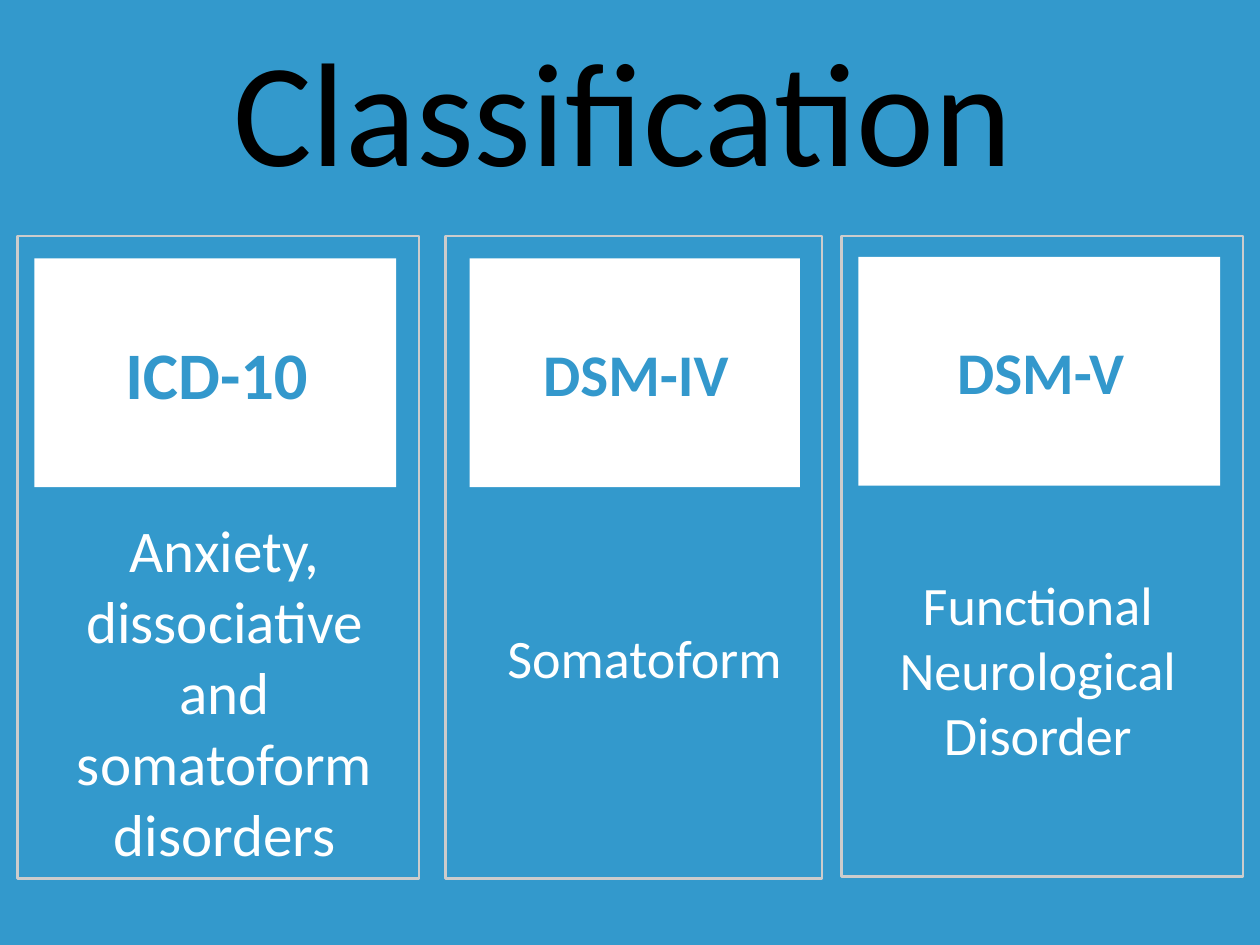
"""Build the Classification slide comparing ICD-10, DSM-IV and DSM-V."""
from pptx import Presentation
from pptx.dml.color import RGBColor
from pptx.enum.shapes import MSO_SHAPE
from pptx.enum.text import MSO_ANCHOR, PP_ALIGN
from pptx.util import Pt

THEME = {
    "font": "Calibri",
    "background": RGBColor(0x33, 0x99, 0xCC),
    "title": {"size": Pt(120), "color": RGBColor(0, 0, 0)},
    "heading": {"color": RGBColor(0x33, 0x98, 0xCC), "bold": True},
    "disorder": {"color": RGBColor(255, 255, 255)},
    "card": RGBColor(255, 255, 255),
    "frame": RGBColor(0xCC, 0xCC, 0xCC),
}


def write(holder, text, style, anchor=MSO_ANCHOR.MIDDLE, align=PP_ALIGN.CENTER, indent=0):
    holder.text_frame.word_wrap = True
    holder.text_frame.vertical_anchor = anchor
    paragraph = holder.text_frame.paragraphs[0]
    paragraph.alignment = align
    paragraph._p.get_or_add_pPr().set("marL", str(Pt(indent)))
    run = paragraph.add_run()
    run.text = text
    run.font.name = THEME["font"]
    for name, value in style.items():
        if name == "color":
            run.font.color.rgb = value
        else:
            setattr(run.font, name, value)


def add_rectangle(box):
    rectangle = slide.shapes.add_shape(MSO_SHAPE.RECTANGLE, *map(Pt, box))
    rectangle.shadow.inherit = False
    return rectangle


deck = Presentation()
deck.slide_width, deck.slide_height = Pt(1024), Pt(768)
slide = deck.slides.add_slide(deck.slide_layouts[6])
slide.background.fill.solid()
slide.background.fill.fore_color.rgb = THEME["background"]

title = slide.shapes.add_textbox(Pt(67.5), Pt(18), Pt(877), Pt(138))
write(title, "Classification", THEME["title"])

systems = [
    {"name": "ICD-10", "name_size": 54, "frame": (14.4, 192, 326, 522),
     "card": (28, 210, 294, 186), "disorder": "Anxiety, dissociative and somatoform disorders",
     "disorder_size": 48, "box": (28, 414, 282, 78), "align": PP_ALIGN.CENTER, "indent": 27},
    {"name": "DSM-IV", "name_size": 48, "frame": (362, 192, 306, 522),
     "card": (381.6, 210, 268.5, 186), "disorder": "Somatoform",
     "disorder_size": 44, "box": (362, 504, 300, 78), "align": PP_ALIGN.LEFT, "indent": 43.2},
    {"name": "DSM-V", "name_size": 48, "frame": (684, 192, 326, 520.5),
     "card": (697.7, 208.8, 294, 186), "disorder": "Functional Neurological Disorder",
     "disorder_size": 44, "box": (692, 460.8, 300, 78), "align": PP_ALIGN.CENTER, "indent": 3},
]

for system in systems:
    frame = add_rectangle(system["frame"])
    frame.fill.background()
    frame.line.color.rgb = THEME["frame"]
    frame.line.width = Pt(2)

    card = add_rectangle(system["card"])
    card.fill.solid()
    card.fill.fore_color.rgb = THEME["card"]
    card.line.fill.background()
    write(card, system["name"], THEME["heading"] | {"size": Pt(system["name_size"])}, indent=2)

    disorder = slide.shapes.add_textbox(*map(Pt, system["box"]))
    write(disorder, system["disorder"], THEME["disorder"] | {"size": Pt(system["disorder_size"])},
          MSO_ANCHOR.TOP, system["align"], system["indent"])

deck.save("out.pptx")
